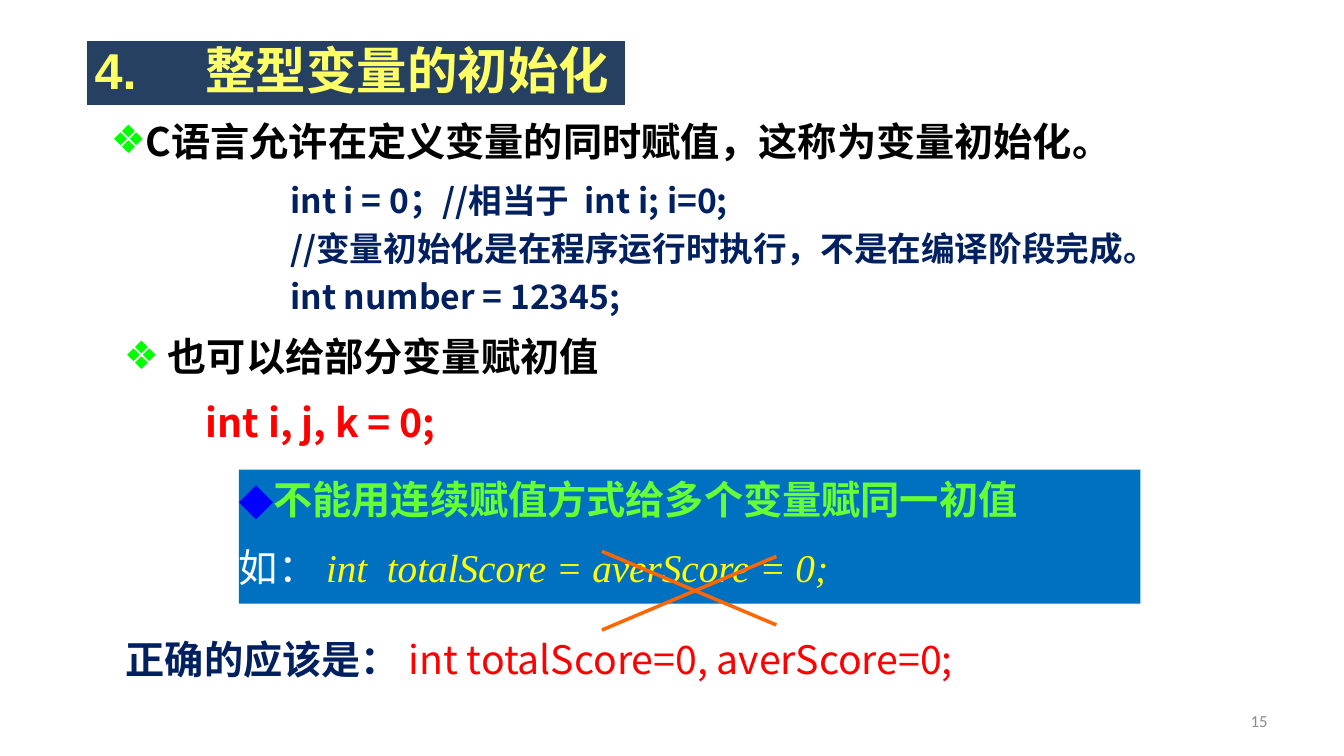
from dataclasses import dataclass

from lxml import etree
from pptx import Presentation
from pptx.dml.color import RGBColor
from pptx.enum.shapes import MSO_CONNECTOR, MSO_SHAPE
from pptx.enum.text import MSO_ANCHOR, MSO_AUTO_SIZE, PP_ALIGN
from pptx.oxml.ns import qn
from pptx.util import Inches, Pt

RECTANGLE = MSO_SHAPE.RECTANGLE
STRAIGHT = MSO_CONNECTOR.STRAIGHT
TOP, MIDDLE = MSO_ANCHOR.TOP, MSO_ANCHOR.MIDDLE
RIGHT = PP_ALIGN.RIGHT
GROW = MSO_AUTO_SIZE.SHAPE_TO_FIT_TEXT


@dataclass(frozen=True)
class Theme:
    body_font: str = "Noto Sans CJK SC"
    title_font: str = "Arial"
    symbol_font: str = "DejaVu Sans"
    code_font: str = "Times New Roman"
    number_font: str = "Calibri"
    title_size: int = 36
    mark_size: int = 32
    body_size: int = 28
    code_size: int = 24
    number_size: int = 12
    title_fill: str = "254061"
    title_text: str = "FFFF66"
    white: str = "FFFFFF"
    black: str = "000000"
    navy: str = "002060"
    red: str = "FF0000"
    bullet: str = "00FF00"
    warning_fill: str = "0070C0"
    warning_text: str = "66FF33"
    mark: str = "0000FF"
    wrong_code: str = "FFFF00"
    cross: str = "FF6600"
    grey: str = "8C8C8C"


THEME = Theme()
DEFAULT_INSETS = (0.1, 0.05, 0.1, 0.05)
NO_INSETS = (0, 0, 0, 0)


def color(code):
    return RGBColor.from_string(code)


def add_span(para, text, ink, size=THEME.body_size, font=THEME.body_font, **style):
    span = para.add_run()
    span.text = text
    for name, value in {"size": Pt(size), "name": font, "bold": True, **style}.items():
        setattr(span.font, name, value)
    span.font.color.rgb = color(ink)
    properties = span.font._element
    etree.SubElement(properties, qn("a:ea")).set("typeface", font)


def set_frame(box, insets=DEFAULT_INSETS, anchor=TOP, grow=True):
    frame = box.text_frame
    left, top, right, bottom = map(Inches, insets)
    settings = {
        "margin_left": left, "margin_top": top,
        "margin_right": right, "margin_bottom": bottom,
        "word_wrap": True, "vertical_anchor": anchor,
    }
    for name, value in settings.items():
        setattr(frame, name, value)
    if grow:
        frame.auto_size = GROW
    return frame


def add_text(page, place, **settings):
    box = page.shapes.add_textbox(*map(Inches, place))
    return set_frame(box, **settings)


def add_panel(page, place, fill, **settings):
    panel = page.shapes.add_shape(RECTANGLE, *map(Inches, place))
    panel.shadow.inherit = False
    panel.fill.solid()
    panel.fill.fore_color.rgb = color(fill)
    panel.line.fill.background()
    frame = set_frame(panel, **settings)
    frame.paragraphs[0].alignment = PP_ALIGN.LEFT
    return panel, frame


def add_bullet_point(page, place, text):
    para = add_text(page, place).paragraphs[0]
    properties = para._p.get_or_add_pPr()
    bullet_color = etree.SubElement(properties, qn("a:buClr"))
    etree.SubElement(bullet_color, qn("a:srgbClr")).set("val", THEME.bullet)
    etree.SubElement(properties, qn("a:buFont")).set("typeface", THEME.symbol_font)
    etree.SubElement(properties, qn("a:buChar")).set("char", "❖")
    add_span(para, text, THEME.black)


def add_code(page, place, lines, ink, size):
    frame = add_text(page, place, insets=NO_INSETS, anchor=MIDDLE)
    for index, line in enumerate(lines):
        para = frame.add_paragraph() if index else frame.paragraphs[0]
        para.line_spacing = 1.2
        para._p.get_or_add_pPr().set("indent", str(Inches(0.62)))
        add_span(para, line, ink, size)


def add_title(page, number, text):
    panel, frame = add_panel(page, (0.84, 0.39, 5.38, 0.67), THEME.title_fill,
                             insets=(0.1, 0, 0.1, 0.08), anchor=MIDDLE, grow=False)
    panel.line.color.rgb = color(THEME.white)
    panel.line.width = Pt(3)
    para = frame.paragraphs[0]
    stops = etree.SubElement(para._p.get_or_add_pPr(), qn("a:tabLst"))
    stop = etree.SubElement(stops, qn("a:tab"))
    stop.set("pos", str(Inches(1.1)))
    stop.set("algn", "l")
    add_span(para, f"{number}\t{text}", THEME.title_text, THEME.title_size, THEME.title_font)


def add_warning(page):
    _, frame = add_panel(page, (2.37, 4.66, 8.94, 1.33), THEME.warning_fill,
                         insets=NO_INSETS)
    rule = frame.paragraphs[0]
    add_span(rule, "◆", THEME.mark, THEME.mark_size, THEME.symbol_font)
    add_span(rule, "不能用连续赋值方式给多个变量赋同一初值", THEME.warning_text)
    example = frame.add_paragraph()
    example.alignment = PP_ALIGN.LEFT
    example.space_before = Pt(THEME.body_size / 2)
    add_span(example, "如： ", THEME.white, bold=False)
    add_span(example, "int  totalScore = averScore = 0;", THEME.wrong_code,
             font=THEME.code_font, bold=False, italic=True)


def add_cross(page):
    for start_y, end_y in ((5.52, 6.25), (6.2, 5.47)):
        stroke = page.shapes.add_connector(
            STRAIGHT, *map(Inches, (7.7, start_y, 5.97, end_y)))
        stroke.line.color.rgb = color(THEME.cross)
        stroke.line.width = Pt(2.5)
        etree.SubElement(stroke._element.spPr, qn("a:effectLst"))


def add_correction(page):
    para = add_text(page, (1.15, 6.16, 10.16, 0.64)).paragraphs[0]
    para.line_spacing = 1.2
    add_span(para, "正确的应该是：", THEME.navy)
    add_span(para, " int totalScore=0, averScore=0;", THEME.red, bold=False)


def add_page_number(page, number):
    frame = add_text(page, (9.56, 6.95, 3.11, 0.4), anchor=MIDDLE, grow=False)
    para = frame.paragraphs[0]
    para.alignment = RIGHT
    add_span(para, number, THEME.grey, THEME.number_size, THEME.number_font, bold=False)


def main():
    deck = Presentation()
    deck.slide_width, deck.slide_height = Inches(13.33), Inches(7.5)
    page = deck.slides.add_slide(deck.slide_layouts[6])

    # Heading
    add_title(page, "4.", "整型变量的初始化")

    # Initialisation rules with code
    add_bullet_point(page, (1, 1.11, 10.79, 0.57),
                     "C语言允许在定义变量的同时赋值，这称为变量初始化。")
    add_code(page, (2.26, 1.71, 9.92, 1.42),
             ["int i = 0；//相当于  int i; i=0;",
              "//变量初始化是在程序运行时执行，不是在编译阶段完成。",
              "int number = 12345;"], THEME.navy, THEME.code_size)
    add_bullet_point(page, (1.13, 3.25, 8.88, 0.57), " 也可以给部分变量赋初值")
    add_code(page, (1.42, 3.87, 4.59, 0.53), ["int i, j, k = 0;"],
             THEME.red, THEME.body_size)

    # Wrong form, crossed out, and the right one
    add_warning(page)
    add_cross(page)
    add_correction(page)

    # Footer
    add_page_number(page, "15")
    deck.save("out.pptx")


if __name__ == "__main__":
    main()
